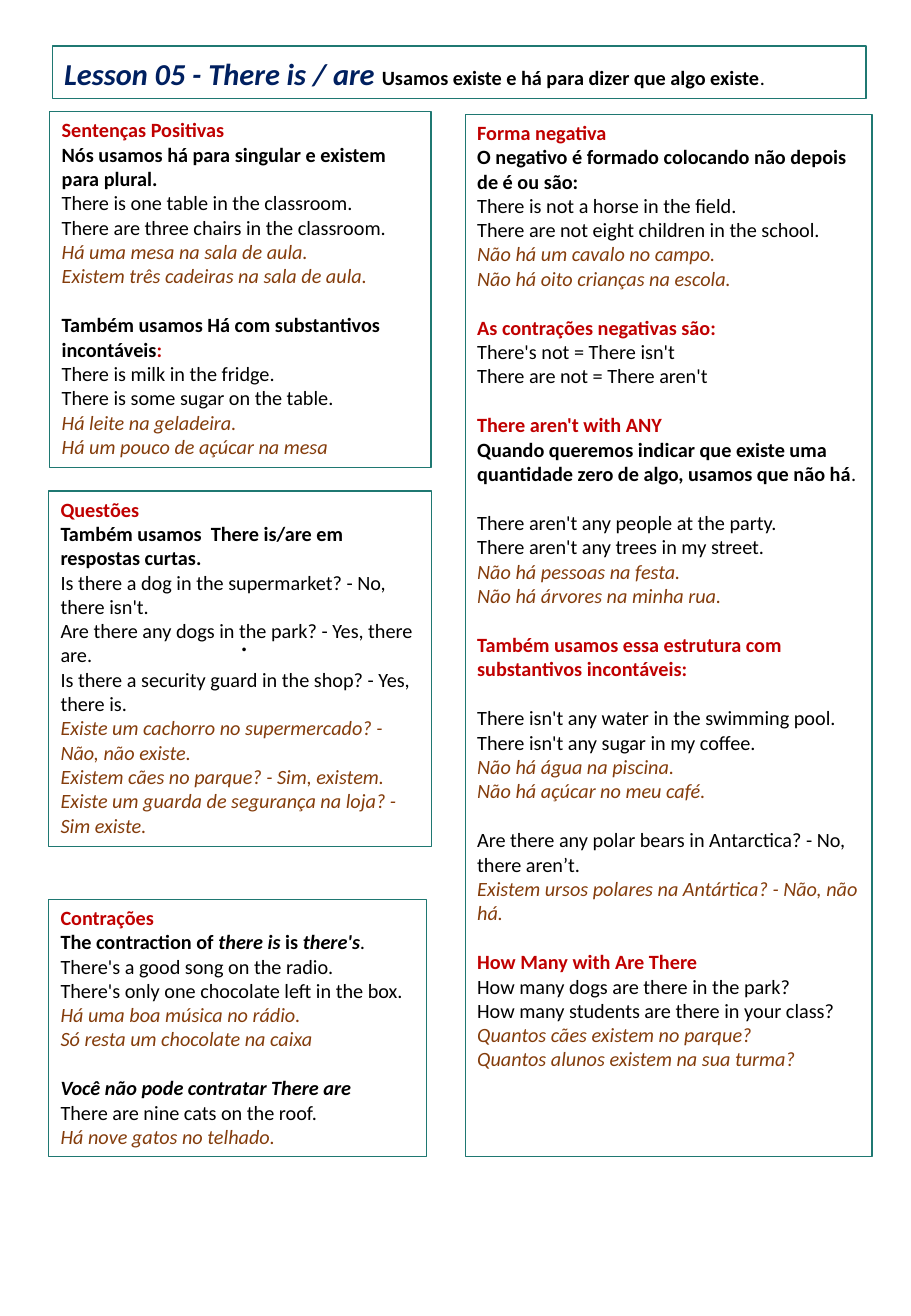
from pptx import Presentation
from pptx import util as u
from pptx.dml.color import RGBColor
from pptx.enum import shapes, text

PX = 9144  # 100 px to the inch
COLORS = {"border": "1F7872", "navy": "002060", "black": "000000",
          "red": "C00000", "brown": "843C0B"}
# style: size, colour, bold, italic
STYLES = {
    "title": (18, "navy", True, True),
    "heading": (12, "red", True, False),
    "rule": (12, "black", True, False),
    "term": (12, "black", True, True),
    "stop": (12, "black", False, True),
    "english": (12, "black", False, False),
    "portuguese": (12, "brown", False, True),
    "dot": (18, "black", False, False),
}
GAP = u.Pt(14.65)  # one line of 12 pt text


def write_paragraphs(frame, paragraphs):
    """Fill a frame with lists of (style, words); None leaves a gap of one line."""
    frame.word_wrap = True
    frame.vertical_anchor = text.MSO_ANCHOR.TOP
    paragraph, gap = None, False
    for runs in paragraphs:
        if runs is None:
            gap = True
            continue
        paragraph = frame.add_paragraph() if paragraph else frame.paragraphs[0]
        paragraph.alignment = text.PP_ALIGN.LEFT
        if gap:
            paragraph.space_before = GAP
            gap = False
        for style, words in runs:
            size, color, bold, italic = STYLES[style]
            run = paragraph.add_run()
            run.text = words
            run.font.name = "Calibri"
            run.font.size = u.Pt(size)
            run.font.bold = bold
            run.font.italic = italic
            run.font.color.rgb = RGBColor.from_string(COLORS[color])


title = [
    [("title", "Lesson 05 - There is / are "),
     ("rule", "Usamos existe e há para dizer que algo existe"), ("english", ".")],
]
positive = [
    [("heading", "Sentenças Positivas")],
    [("rule", "Nós usamos há para singular e existem para plural.")],
    [("english", "There is one table in the classroom.")],
    [("english", "There are three chairs in the classroom.")],
    [("portuguese", "Há uma mesa na sala de aula.")],
    [("portuguese", "Existem três cadeiras na sala de aula.")],
    None,
    [("rule", "Também usamos Há com substantivos incontáveis"), ("heading", ":")],
    [("english", "There is milk in the fridge.")],
    [("english", "There is some sugar on the table.")],
    [("portuguese", "Há leite na geladeira.")],
    [("portuguese", "Há um pouco de açúcar na mesa")],
]
contractions = [
    [("heading", "Contrações")],
    [("rule", "The contraction of "), ("term", "there is "), ("rule", "is "),
     ("term", "there's"), ("stop", ".")],
    [("english", "There's a good song on the radio.")],
    [("english", "There's only one chocolate left in the box.")],
    [("portuguese", "Há uma boa música no rádio.")],
    [("portuguese", "Só resta um chocolate na caixa")],
    None,
    [("term", "Você não pode contratar There are")],
    [("english", "There are nine cats on the roof.")],
    [("portuguese", "Há nove gatos no telhado.")],
]
negative = [
    [("heading", "Forma negativa")],
    [("rule", "O negativo é formado colocando não depois de é ou são:")],
    [("english", "There is not a horse in the field.")],
    [("english", "There are not eight children in the school.")],
    [("portuguese", "Não há um cavalo no campo.")],
    [("portuguese", "Não há oito crianças na escola.")],
    None,
    [("heading", "As contrações negativas são:")],
    [("english", "There's not = There isn't")],
    [("english", "There are not = There aren't")],
    None,
    [("heading", "There aren't with ANY")],
    [("rule", "Quando queremos indicar que existe uma quantidade zero de algo, "
              "usamos que não há"), ("english", ".")],
    None,
    [("english", "There aren't any people at the party.")],
    [("english", "There aren't any trees in my street.")],
    [("portuguese", "Não há pessoas na festa.")],
    [("portuguese", "Não há árvores na minha rua.")],
    None,
    [("heading", "Também usamos essa estrutura com substantivos incontáveis:")],
    None,
    [("english", "There isn't any water in the swimming pool.")],
    [("english", "There isn't any sugar in my coffee.")],
    [("portuguese", "Não há água na piscina.")],
    [("portuguese", "Não há açúcar no meu café.")],
    None,
    [("english", "Are there any polar bears in Antarctica? - No, there aren’t.")],
    [("portuguese", "Existem ursos polares na Antártica? - Não, não há.")],
    None,
    [("heading", "How Many with Are There")],
    [("english", "How many dogs are there in the park?")],
    [("english", "How many students are there in your class?")],
    [("portuguese", "Quantos cães existem no parque?")],
    [("portuguese", "Quantos alunos existem na sua turma?")],
]
questions = [
    [("heading", "Questões")],
    [("rule", "Também usamos  There is/are em respostas curtas.")],
    [("english", "Is there a dog in the supermarket? - No, there isn't.")],
    [("english", "Are there any dogs in the park? - Yes, there are.")],
    [("english", "Is there a security guard in the shop? - Yes, there is.")],
    [("portuguese", "Existe um cachorro no supermercado? - Não, não existe.")],
    [("portuguese", "Existem cães no parque? - Sim, existem.")],
    [("portuguese", "Existe um guarda de segurança na loja? - Sim existe.")],
]
# left, top, width, height, paragraphs
panels = [
    (43, 38, 670, 43, title),
    (41, 92, 314, 293, positive),
    (40, 740, 311, 212, contractions),
    (383, 94, 335, 858, negative),
    (40, 404, 315, 293, questions),
]

presentation = Presentation()
presentation.slide_width = 750 * PX
presentation.slide_height = 1083 * PX
slide = presentation.slides.add_slide(presentation.slide_layouts[6])

for *box, paragraphs in panels:
    panel = slide.shapes.add_shape(shapes.MSO_SHAPE.RECTANGLE,
                                   *(length * PX for length in box))
    panel.shadow.inherit = False
    panel.fill.background()
    panel.line.color.rgb = RGBColor.from_string(COLORS["border"])
    panel.line.width = u.Pt(0.75)
    write_paragraphs(panel.text_frame, paragraphs)
    if paragraphs is title:
        heading = panel.text_frame.paragraphs[0]
        heading.line_spacing = 1.07
        heading.space_after = u.Pt(8)

dot = slide.shapes.add_textbox(188 * PX, 506 * PX, 375 * PX, 40 * PX)
write_paragraphs(dot.text_frame, [[("dot", ".")]])

presentation.save("out.pptx")
